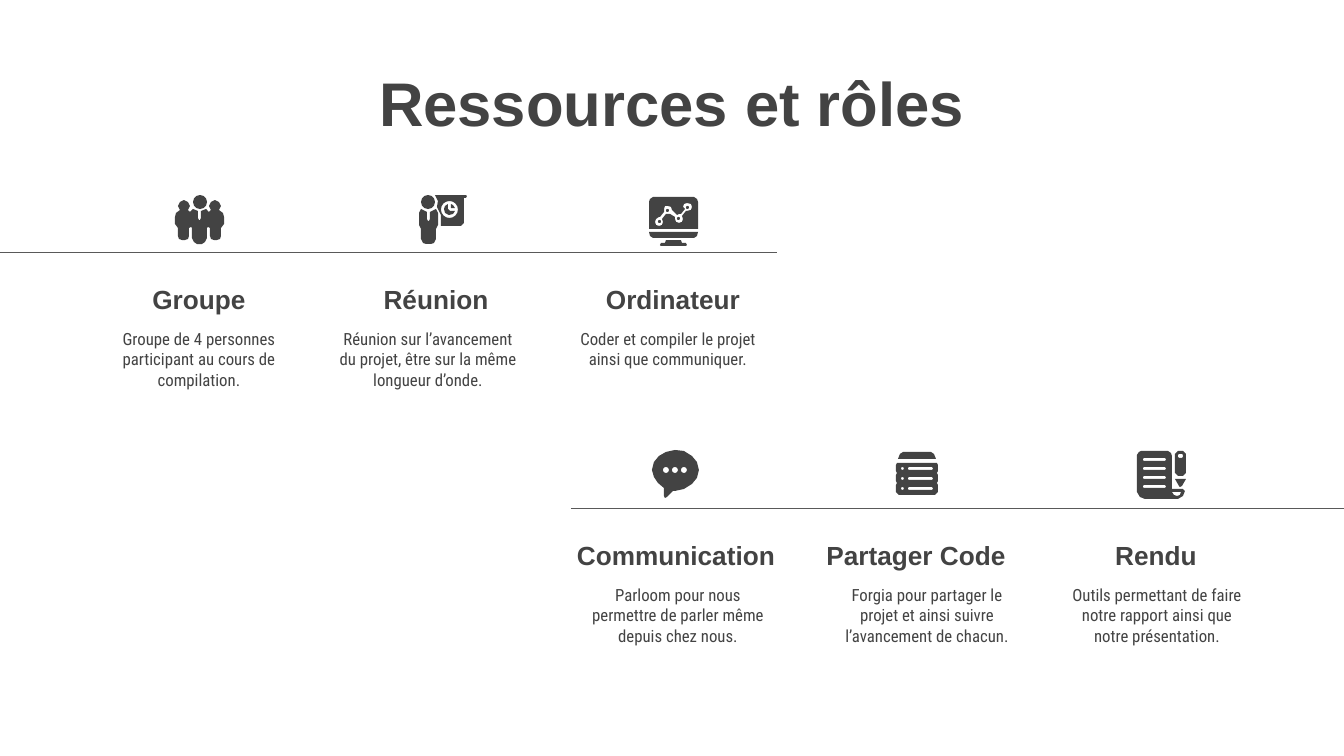
import math

from lxml import etree
from pptx import Presentation, util as u
from pptx.dml.color import RGBColor
from pptx.enum import shapes, text
from pptx.oxml import ns

DARK = RGBColor(0x43, 0x43, 0x43)
RULE = RGBColor(0x59, 0x59, 0x59)
WHITE = RGBColor(0xFF, 0xFF, 0xFF)
HEAD_FONT, BODY_FONT = "Arial", "Roboto Condensed"
SLIDE_W, SLIDE_H = 1344, 756
INSET = 13
PX = 9072  # EMU


def box(*lengths):
    return [u.Emu(round(n * PX)) for n in lengths]


def write(shape, words, **fmt):
    """Put one centred paragraph in a shape."""
    tf = shape.text_frame
    frame = dict(word_wrap=True, auto_size=text.MSO_AUTO_SIZE.NONE,
                 vertical_anchor=fmt.pop("anchor", text.MSO_ANCHOR.TOP))
    frame.update({f"margin_{side}": u.Emu(INSET * PX) for side in ("left", "right", "top", "bottom")})
    for name, value in frame.items():
        setattr(tf, name, value)
    p = tf.paragraphs[0]
    p.alignment = text.PP_ALIGN.CENTER
    r = p.add_run()
    r.text = words
    r.font.color.rgb = DARK
    for name, value in fmt.items():
        setattr(r.font, name, value)


def paint(sp):
    sp.shadow.inherit = False
    sp.fill.solid()
    sp.fill.fore_color.rgb = DARK
    sp.line.fill.background()


# Contours of icon parts
def ring(x, y, w, h, sides=16):
    turns = [2 * math.pi * i / sides for i in range(sides)]
    return [(x + w / 2 * (1 + math.cos(a)), y + h / 2 * (1 + math.sin(a))) for a in turns]


def slab(x, y, w, h, cut=1):
    r, b = x + w, y + h
    return [(x + cut, y), (r - cut, y), (r, y + cut), (r, b - cut),
            (r - cut, b), (x + cut, b), (x, b - cut), (x, y + cut)]


def mirrored(half, width):
    return half + [(width - x, y) for x, y in reversed(half)]


def outline(icon, x, y, *contours):
    """One filled shape; contours after the first are holes."""
    moved = [[box(x + dx, y + dy) for dx, dy in contour] for contour in contours]
    form = icon.build_freeform(*moved[0][0])
    for i, points in enumerate(moved):
        if i:
            form.move_to(*points[0])
        form.add_line_segments(points[1:])
    paint(form.convert_to_shape())


def dot(icon, x, y, w, h):
    paint(icon.add_shape(shapes.MSO_SHAPE.OVAL, *box(x, y, w, h)))


# Icons, each drawn from its top left corner
def team(icon, x, y):
    half = [(24, 25), (23, 23), (23, 16), (18, 14), (15, 17), (13, 15), (15, 11), (13, 7),
            (9, 5), (5, 7), (3, 11), (5, 15), (1, 18), (0, 22), (0, 29), (3, 33), (3, 41),
            (4, 44), (7, 45), (10, 45), (13, 44), (14, 41), (14, 33), (16, 32), (17, 33),
            (17, 43), (19, 47), (22, 49)]
    outline(icon, x, y, mirrored(half, 49))
    dot(icon, x + 18, y, 14, 14)


def meeting(icon, x, y):
    half = [(9, 26), (8, 24), (8, 17), (2, 14), (0, 18), (0, 30), (2, 34), (2, 44),
            (4, 48), (7, 49)]
    board = [(16, 0), (47, 0), (48, 1), (47, 3), (45, 3), (45, 28), (42, 31), (22, 31),
             (22, 20), (18, 12), (19, 6)]
    clock = [(29, 9), (26, 11), (25, 14), (26, 18), (30, 20), (34, 19), (36, 16), (31, 16),
             (29, 14)]
    outline(icon, x, y, mirrored(half, 19))
    outline(icon, x, y, board, ring(22, 6, 17, 17))
    outline(icon, x, y, clock)
    outline(icon, x, y, [(32, 9), (32, 13), (36, 13), (34, 10)])
    dot(icon, x + 2, y, 14, 14)


def computer(icon, x, y):
    screen = [(4, 0), (45, 0), (48, 2), (49, 5), (49, 32), (0, 32), (0, 5), (1, 2)]
    curve = [(38, 6), (42, 7), (43, 10), (42, 13), (38, 14), (37, 14), (33, 19), (34, 22),
             (33, 25), (30, 26), (27, 25), (26, 22), (26, 20), (21, 17), (17, 17), (13, 22),
             (14, 25), (13, 28), (10, 29), (7, 28), (6, 25), (7, 22), (10, 20), (11, 20),
             (15, 15), (15, 12), (16, 9), (19, 9), (22, 10), (23, 13), (28, 18), (30, 17),
             (32, 17), (36, 12), (34, 10), (35, 7)]
    outline(icon, x, y, screen, curve)
    for dx, dy in ((9, 23), (17, 12), (28, 20), (37, 9)):
        dot(icon, x + dx, y + dy, 3, 3)
    outline(icon, x, y, [(0, 35), (49, 35), (48, 39), (45, 41), (4, 41), (1, 39)])
    outline(icon, x, y, mirrored([(17, 43), (16, 46), (12, 46), (11, 48), (12, 49)][::-1], 49))


def chat(icon, x, y):
    bubble = [(23, 0), (32, 1), (40, 6), (45, 12), (47, 20), (45, 28), (40, 34), (32, 39),
              (23, 41), (21, 41), (15, 47), (13, 48), (12, 46), (12, 38), (6, 33), (2, 27),
              (0, 20), (2, 12), (7, 6), (14, 2)]
    outline(icon, x, y, bubble, *[ring(11 + 9 * i, 17, 6, 6) for i in range(3)])


def server(icon, x, y):
    half = [(1, 11), (0, 13), (0, 19), (1, 21), (0, 23), (0, 29), (1, 31), (0, 33),
            (0, 40), (3, 43)]
    holes = [hole for top in (15, 25, 35)
             for hole in (ring(5, top, 3, 3, 8), slab(12, top, 25, 3))]
    outline(icon, x, y, mirrored([(2, 7), (4, 2), (7, 0)], 42))
    outline(icon, x, y, mirrored(half, 42), *holes)


def report(icon, x, y):
    scroll = [(4, 0), (31, 0), (34, 2), (35, 5), (35, 38), (46, 38), (48, 40), (46, 45),
              (41, 48), (8, 48), (3, 46), (0, 41), (0, 4), (2, 1)]
    curl = [(35, 41), (44, 41), (43, 44), (40, 45), (37, 44)]
    outline(icon, x, y, scroll, curl, *[slab(6, 7 + 9 * i, 23, 3) for i in range(4)])
    outline(icon, x, y, [(38, 28), (49, 28), (45, 35), (43, 36), (42, 35)])
    outline(icon, x, y, slab(38, 0, 11, 25, 3), slab(41, 3, 5, 4))


def title(s, words, *area):
    sp = s.shapes.title
    sp.left, sp.top, sp.width, sp.height = box(*area)
    write(sp, words, name=HEAD_FONT, size=u.Pt(44), bold=True)


def rule(s, y, x1, x2):
    c = s.shapes.add_connector(shapes.MSO_CONNECTOR.STRAIGHT, *box(x1, y, x2, y))
    c.line.color.rgb = RULE
    c.line.width = u.Pt(0.75)
    etree.SubElement(c._element.spPr, ns.qn("a:effectLst"))


def row(s, y, x1, x2, head_x, step, items):
    """A rule with icons above it, headings and descriptions below it."""
    rule(s, y, x1, x2)
    for i, (heading, body, body_x, draw, icon_x, rise) in enumerate(items):
        draw(s.shapes.add_group_shape().shapes, icon_x, y - rise)
        sp = s.shapes.add_textbox(*box(head_x + step * i, y + 12, 262, 63))
        write(sp, heading, anchor=text.MSO_ANCHOR.BOTTOM, name=HEAD_FONT,
              size=u.Pt(18.7), bold=True)
        sp = s.shapes.add_textbox(*box(body_x, y + 63, 214, 147))
        write(sp, body, name=BODY_FONT, size=u.Pt(12))


# Heading, description, description left, icon, icon left, icon height above rule
RESOURCES = [
    ("Groupe", "Groupe de 4 personnes participant au cours de compilation.",
     92, team, 175, 58),
    ("Réunion", "Réunion sur l’avancement du projet, être sur la même longueur d’onde.",
     321, meeting, 419, 58),
    ("Ordinateur", "Coder et compiler le projet ainsi que communiquer.",
     561, computer, 649, 56),
]
EXCHANGES = [
    ("Communication", "Parloom pour nous permettre de parler même depuis chez nous.",
     571, chat, 652, 59),
    ("Partager Code", "Forgia pour partager le projet et ainsi suivre l’avancement de chacun.",
     820, server, 896, 57),
    ("Rendu", "Outils permettant de faire notre rapport ainsi que notre présentation.",
     1050, report, 1137, 58),
]


def main():
    prs = Presentation()
    prs.slide_width, prs.slide_height = box(SLIDE_W, SLIDE_H)
    s = prs.slides.add_slide(prs.slide_layouts[5])
    s.background.fill.solid()
    s.background.fill.fore_color.rgb = WHITE
    title(s, "Ressources et rôles", 289, 52, 766, 139)
    row(s, 253, 0, 777, 68, 237, RESOURCES)
    row(s, 509, 571, SLIDE_W, 545, 240, EXCHANGES)
    prs.save("out.pptx")


if __name__ == "__main__":
    main()
